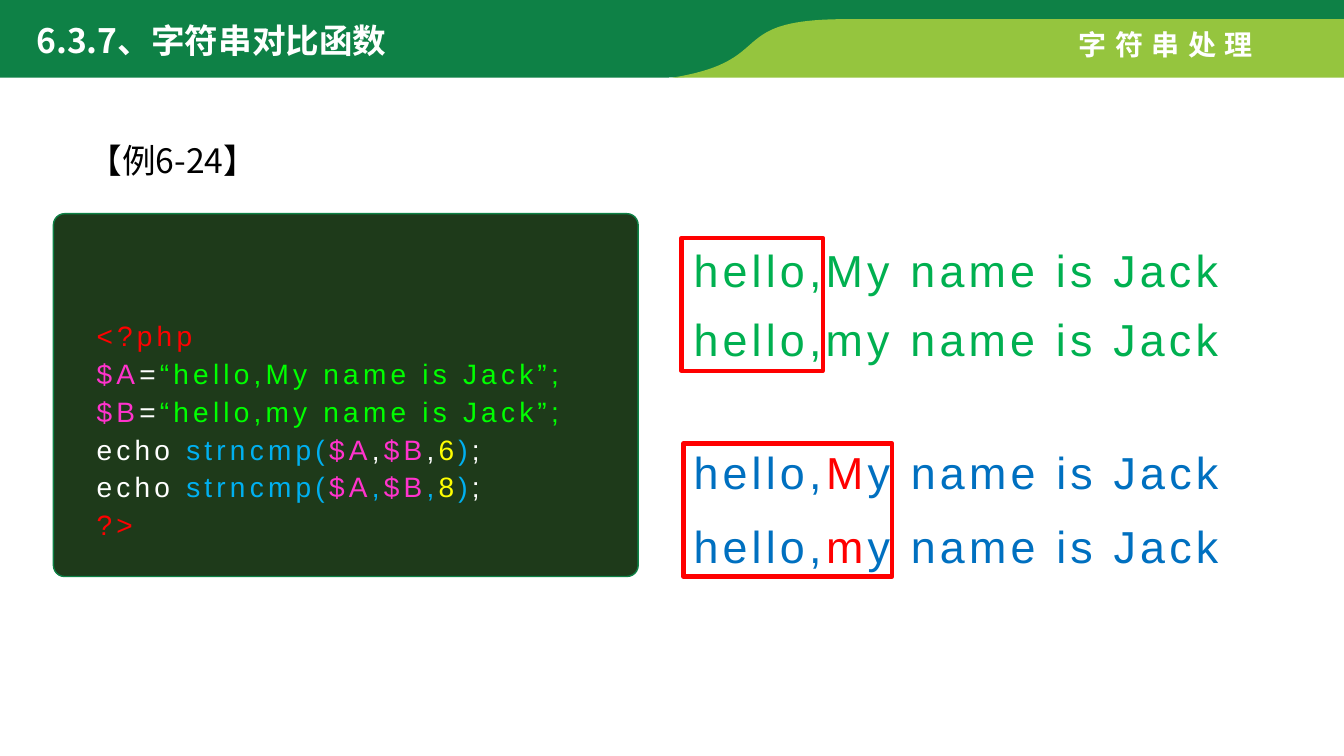
from pptx import Presentation, util as u
from pptx.dml.color import RGBColor
from pptx.enum import shapes, text
from pptx.oxml.ns import qn
from lxml import etree


class Theme:
    latin, chinese = "Arial", "Noto Sans CJK SC"
    label, heading, sample = 20, 24, 32
    green, lime, panel = "0E8146", "95C53E", "1E3A1A"
    white, black, red = "FFFFFF", "000000", "FF0000"
    variable, string, function, number = "FF33CC", "00FF00", "00B0F0", "FFFF00"
    same, differing = "00B050", "0070C0"


def write(box, lines, size, font=Theme.latin, bold=False, spacing=0, wrap=True):
    frame = box.text_frame
    frame.word_wrap = wrap
    frame.auto_size = text.MSO_AUTO_SIZE.SHAPE_TO_FIT_TEXT
    frame.vertical_anchor = text.MSO_ANCHOR.TOP
    for index, spans in enumerate(lines):
        para = frame.add_paragraph() if index else frame.paragraphs[0]
        para.alignment = text.PP_ALIGN.LEFT
        for words, color in spans:
            span = para.add_run()
            span.text = words
            span.font.name = font
            span.font.size = u.Pt(size)
            span.font.bold = bold
            span.font.color.rgb = RGBColor.from_string(color)
            properties = span.font._element
            properties.set("spc", str(spacing * 100))
            latin = properties.find(qn("a:latin"))
            east_asian = etree.Element(qn("a:ea"), typeface=Theme.chinese)
            latin.addnext(east_asian)
    return frame


def draw_band(page, segments, color):
    points = []
    for segment in segments:
        if len(segment) == 2:
            points.append(segment)
            continue
        start = points[-1]
        first, second, end = zip(segment[::2], segment[1::2])
        for step in range(1, 41):
            t = step / 40
            points.append(tuple(
                (1 - t) ** 3 * a + 3 * (1 - t) ** 2 * t * b + 3 * (1 - t) * t ** 2 * c + t ** 3 * d
                for a, b, c, d in zip(start, first, second, end)))
    corners = [(u.Inches(x), u.Inches(y)) for x, y in points]
    builder = page.shapes.build_freeform(*corners[0])
    builder.add_line_segments(corners[1:], close=True)
    band = builder.convert_to_shape()
    band.shadow.inherit = False
    band.fill.solid()
    band.fill.fore_color.rgb = RGBColor.from_string(color)
    band.line.fill.background()


deck = Presentation()
deck.slide_width, deck.slide_height = u.Inches(13.33), u.Inches(7.5)
page = deck.slides.add_slide(deck.slide_layouts[5])

draw_band(page, [(0, -0.03), (13.33, -0.03), (13.33, 0.24), (8.27, 0.24), (8.09, 0.28),
                 (7.27, 0.44, 7.7, 0.77, 6.55, 0.77), (0, 0.77)], Theme.green)
draw_band(page, [(8.39, 0.19), (13.33, 0.19), (13.33, 0.77), (6.67, 0.77),
                 (7.73, 0.6, 7.17, 0.19, 8.39, 0.19)], Theme.lime)

chapter = page.shapes.add_textbox(u.Inches(10.6), u.Inches(0.22), u.Inches(2.03), u.Inches(0.44))
write(chapter, [[("字符串处理", Theme.white)]], Theme.label, bold=True, spacing=6, wrap=False)

title = page.shapes.title
title.left, title.top = u.Inches(0.26), u.Inches(0.15)
title.width, title.height = u.Inches(3.77), u.Inches(0.5)
write(title, [[("6.3.7、字符串对比函数", Theme.white)]], Theme.heading, Theme.chinese, bold=True)
page.shapes._spTree.append(title._element)

example = page.shapes.add_textbox(u.Inches(0.78), u.Inches(1.14), u.Inches(5.2), u.Inches(0.71))
frame = write(example, [[("【例6-24】", Theme.black)]], Theme.heading, Theme.chinese)
frame.paragraphs[0].alignment = text.PP_ALIGN.JUSTIFY
frame.paragraphs[0].line_spacing = 1.5

panel = page.shapes.add_shape(shapes.MSO_SHAPE.ROUNDED_RECTANGLE, u.Inches(0.53), u.Inches(2.12),
                              u.Inches(5.8), u.Inches(3.6))
panel.adjustments[0] = 0.031
panel.shadow.inherit = False
panel.fill.solid()
panel.fill.fore_color.rgb = RGBColor.from_string(Theme.panel)
panel.line.color.rgb = RGBColor.from_string(Theme.green)
panel.line.width = u.Pt(1)

code_lines = [[("<?php", Theme.red)]]
for name, value in (("$A", "“hello,My name is Jack”;"), ("$B", "“hello,my name is Jack”;")):
    code_lines.append([(name, Theme.variable), ("=", Theme.white), (value, Theme.string)])
for length, comma in (("6", Theme.white), ("8", Theme.function)):
    code_lines.append([("echo ", Theme.white), ("strncmp(", Theme.function),
                       ("$A", Theme.variable), (",", comma), ("$B", Theme.variable), (",", comma),
                       (length, Theme.number), (")", Theme.function), (";", Theme.white)])
code_lines.append([("?>", Theme.red)])
code = page.shapes.add_textbox(u.Inches(0.86), u.Inches(3.07), u.Inches(5.36), u.Inches(2.37))
for para in write(code, code_lines, Theme.label, spacing=3).paragraphs:
    para.line_spacing = u.Pt(27)

samples = [
    (2.36, [("hello,My name is Jack", Theme.same)]),
    (3.04, [("hello,my name is Jack", Theme.same)]),
]
for top, letter in ((4.36, "M"), (5.1, "m")):
    samples.append((top, [("hello,", Theme.differing), (letter, Theme.red),
                          ("y name is Jack", Theme.differing)]))
for top, spans in samples:
    sample = page.shapes.add_textbox(u.Inches(6.78), u.Inches(top), u.Inches(5.49), u.Inches(0.64))
    write(sample, [spans], Theme.sample, spacing=3, wrap=False)

for left, top, width in ((6.76, 2.36, 1.4), (6.78, 4.4, 2.07)):
    marker = page.shapes.add_shape(shapes.MSO_SHAPE.RECTANGLE, u.Inches(left), u.Inches(top),
                                   u.Inches(width), u.Inches(1.32))
    marker.shadow.inherit = False
    marker.fill.background()
    marker.line.color.rgb = RGBColor.from_string(Theme.red)
    marker.line.width = u.Pt(3)

deck.save("out.pptx")
